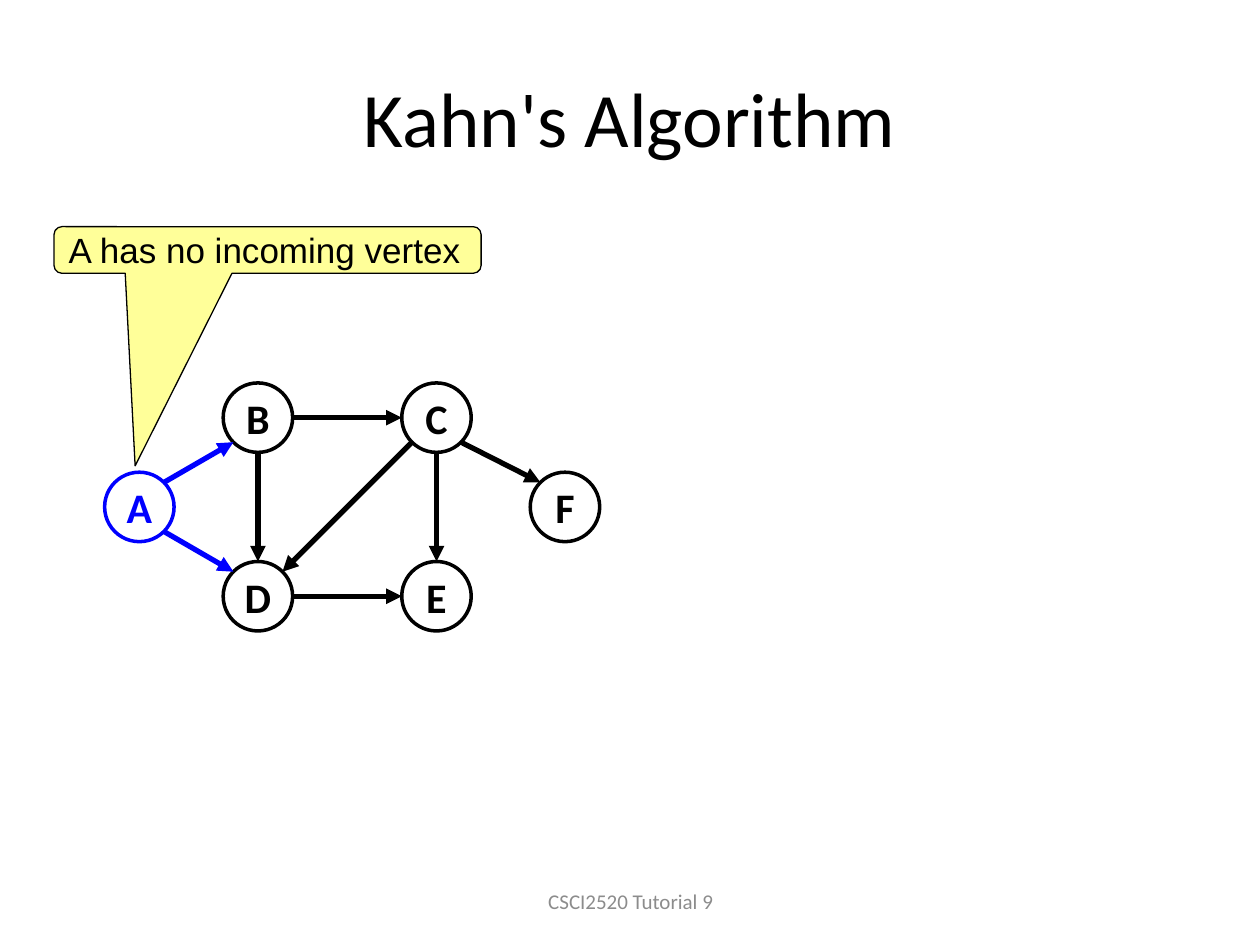
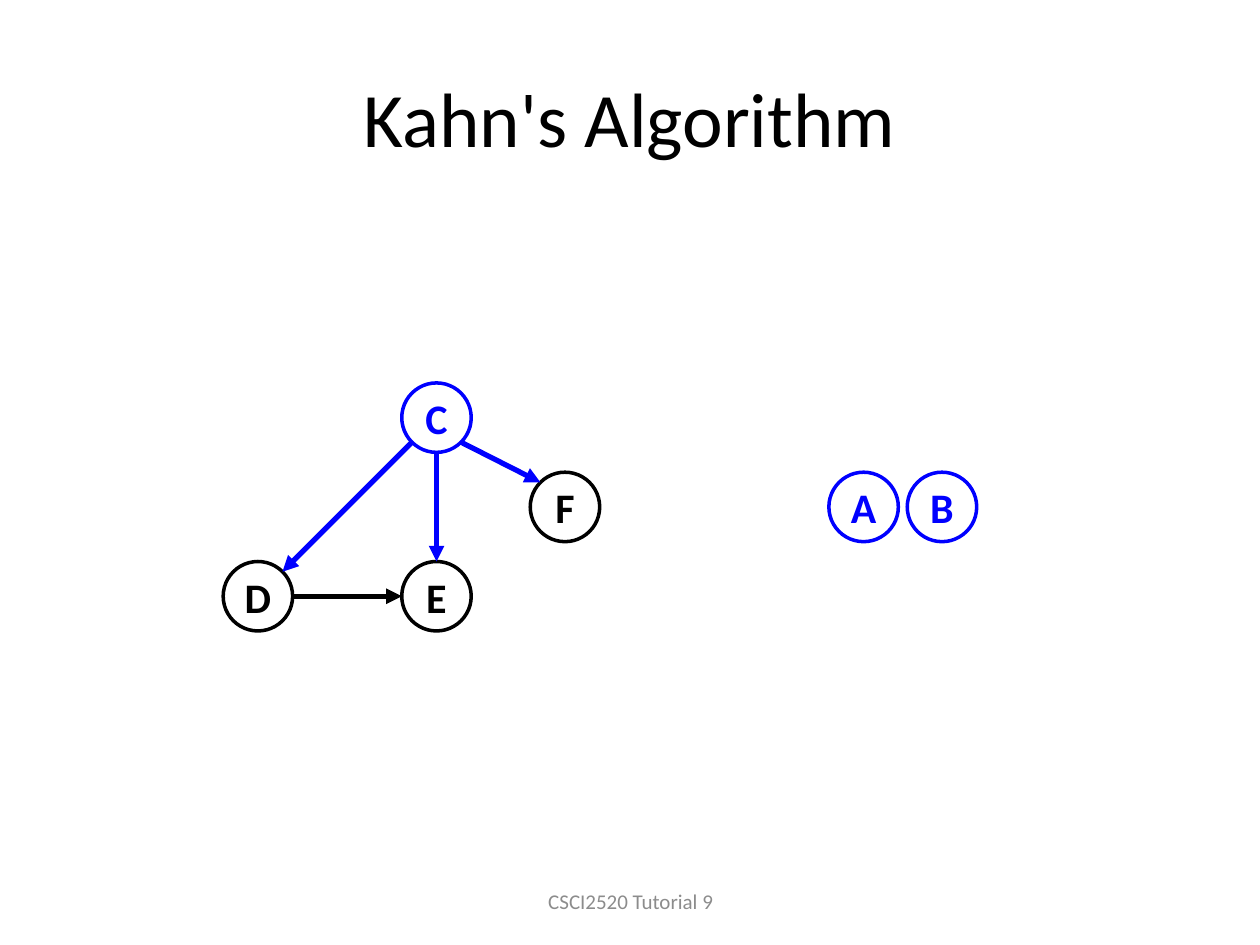
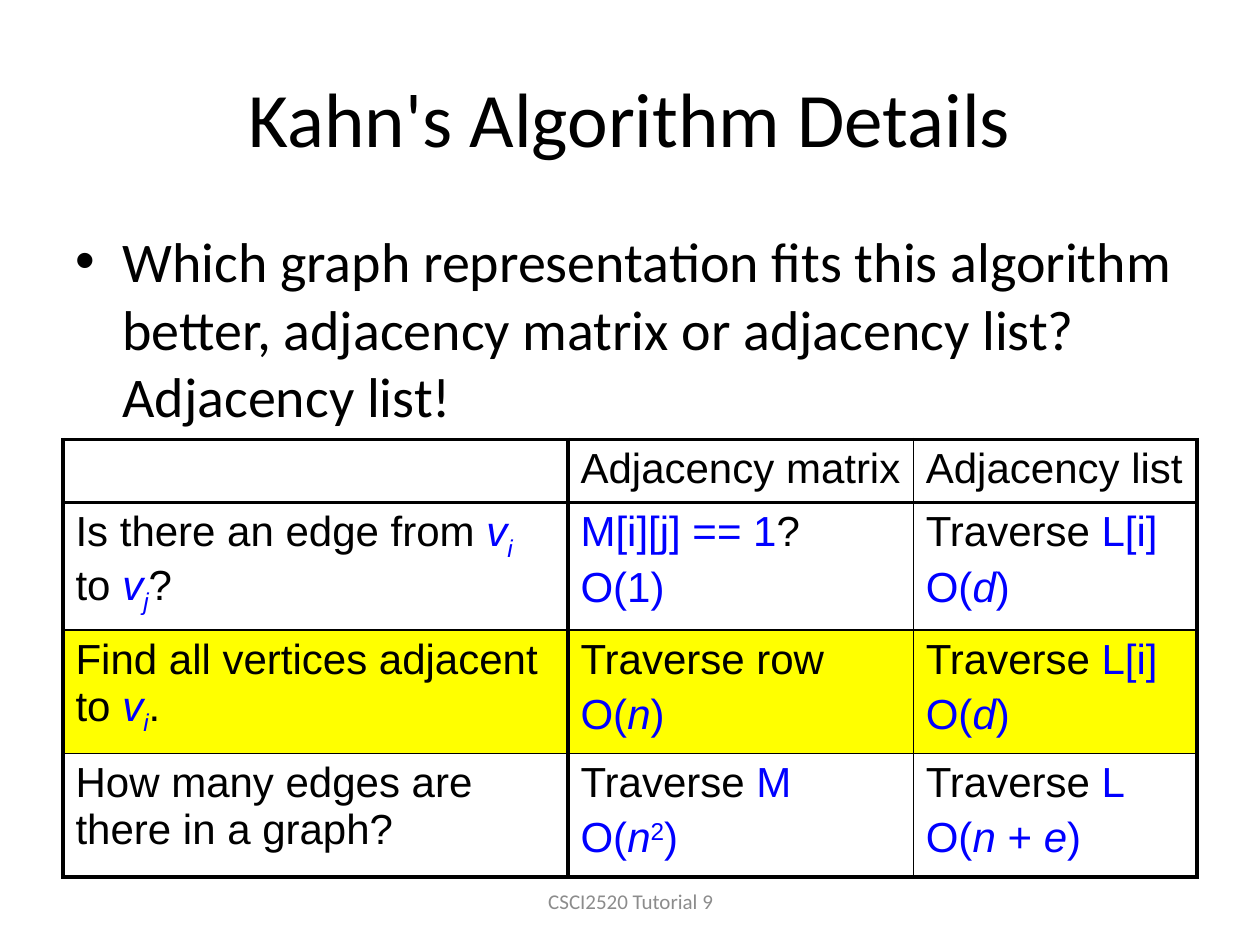
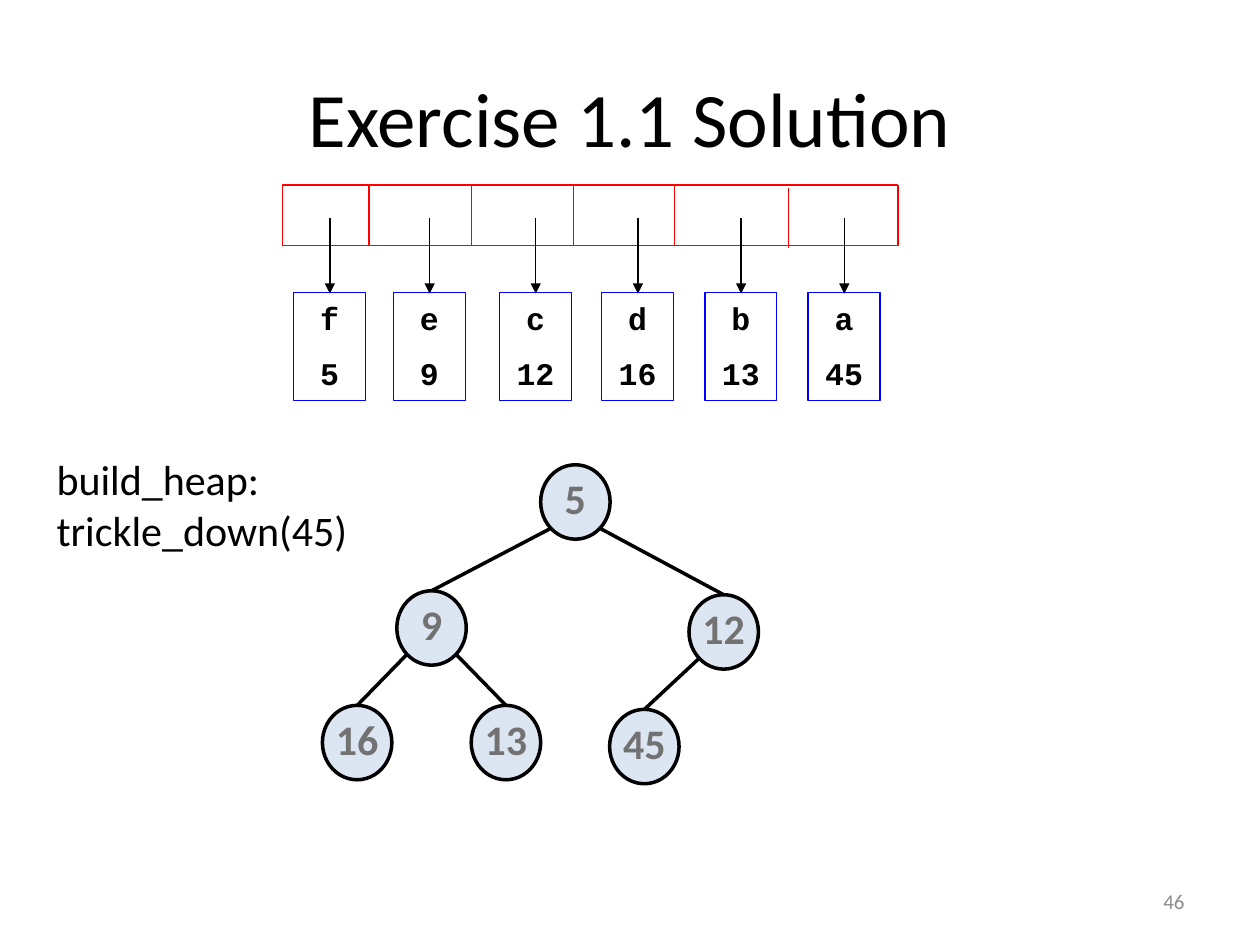
import math

import lxml.etree
import pptx
import pptx.dml.color
import pptx.enum.shapes
import pptx.enum.text
import pptx.oxml.ns
import pptx.util

Cm, Pt = pptx.util.Cm, pptx.util.Pt
RGB = pptx.dml.color.RGBColor.from_string
SHAPE = pptx.enum.shapes.MSO_SHAPE
ALIGN = pptx.enum.text.PP_ALIGN
ANCHOR = pptx.enum.text.MSO_ANCHOR
qn = pptx.oxml.ns.qn


class Theme:
    black, white, blue, red = RGB("000000"), RGB("FFFFFF"), RGB("0000FF"), RGB("FF0000")
    note, highlight = RGB("FFFF99"), RGB("FFFF00")
    tree_fill, tree_text, footer = RGB("DCE6F2"), RGB("727272"), RGB("8C8C8C")
    body_font, plain_font, code_font = "Calibri", "Arial", "Courier New"
    title_size, body_size, label_size = 44, 32, 24
    note_size, code_size, footer_size = 20, 18, 12
    thin, rule, node_line, thick, edge_line = 0.75, 1, 2, 2.25, 3


def draw_box(s, kind, box, text="", size=Theme.label_size, color=Theme.black,
             font=Theme.body_font, bold=False, align=ALIGN.CENTER,
             anchor=ANCHOR.MIDDLE, fill=None, line=None, width=Theme.thin):
    """Add a preset shape, or a text box when kind is None, with uniform text."""
    box = [Cm(v) for v in box]
    if kind is None:
        sp = s.shapes.add_textbox(*box)
    else:
        sp = s.shapes.add_shape(kind, *box)
        sp.shadow.inherit = False
        sp.line.color.rgb = line
        sp.line.width = Pt(width)
        if fill is None:
            sp.fill.background()
        else:
            sp.fill.solid()
            sp.fill.fore_color.rgb = fill
    tf = sp.text_frame
    tf.word_wrap = True
    tf.vertical_anchor = anchor
    tf.text = text
    for p in tf.paragraphs:
        p.alignment = align
        for r in p.runs:
            r.font.name, r.font.size, r.font.bold = font, Pt(size), bold
            r.font.color.rgb = color
    return sp


def draw_line(s, x1, y1, x2, y2, color, width, arrow=False):
    c = s.shapes.add_connector(pptx.enum.shapes.MSO_CONNECTOR.STRAIGHT,
                               Cm(x1), Cm(y1), Cm(x2), Cm(y2))
    c.line.color.rgb = color
    c.line.width = Pt(width)
    if arrow:
        lxml.etree.SubElement(c.line._get_or_add_ln(), qn("a:tailEnd"), type="triangle")
    lxml.etree.SubElement(c._element.spPr, qn("a:effectLst"))


prs = pptx.Presentation()
prs.slide_width, prs.slide_height = Cm(25.4), Cm(19.05)

# Titles and footers
COURSE = "CSCI2520 Tutorial 9"
slides = []
for title, footer in [("Kahn's Algorithm", COURSE), ("Kahn's Algorithm", COURSE),
                      ("Kahn's Algorithm Details", COURSE),
                      ("Exercise 1.1 Solution", "46")]:
    s = prs.slides.add_slide(prs.slide_layouts[5])
    slides.append(s)
    sp = s.shapes.title
    sp.left, sp.top, sp.width, sp.height = Cm(1.27), Cm(0.76), Cm(22.86), Cm(3.18)
    tf = sp.text_frame
    tf.text = title
    tf.vertical_anchor = ANCHOR.MIDDLE
    p = tf.paragraphs[0]
    p.alignment = ALIGN.CENTER
    font = p.runs[0].font
    font.name, font.size = Theme.body_font, Pt(Theme.title_size)
    font.color.rgb = Theme.black
    if footer == COURSE:
        box, align = (8.69, 17.65, 8.05, 1.02), ALIGN.CENTER
    else:
        box, align = (18.21, 17.65, 5.92, 1.02), ALIGN.RIGHT
    draw_box(s, None, box, footer, Theme.footer_size, Theme.footer, align=align)

# Slides 1 and 2: the graph at two steps
vertices = {"A": (2.81, 10.22), "B": (5.2, 8.42), "D": (5.2, 12.02),
            "C": (8.8, 8.42), "E": (8.8, 12.02), "F": (11.39, 10.22)}
edges = ["AB", "BC", "DE", "AD", "CD", "CE", "BD", "CF"]
radius = 0.7
for s, current, output in [(slides[0], "A", ""), (slides[1], "C", "AB")]:
    for name, (x, y) in vertices.items():
        if name in output:
            x, y = 17.41 + 1.58 * output.index(name), 10.22
        color = Theme.blue if name in output + current else Theme.black
        sp = draw_box(s, SHAPE.OVAL, (x - radius, y - radius, 2 * radius, 2 * radius),
                      name, color=color, bold=True, fill=Theme.white,
                      line=color, width=Theme.node_line)
        sp.text_frame.margin_left = sp.text_frame.margin_right = 0
    for start, end in edges:
        if start in output:
            continue
        (x1, y1), (x2, y2) = vertices[start], vertices[end]
        # Edges meet the circles at the nearest eighth of a turn
        angle = round(math.atan2(y2 - y1, x2 - x1) / (math.pi / 4)) * math.pi / 4
        dx, dy = radius * math.cos(angle), radius * math.sin(angle)
        draw_line(s, x1 + dx, y1 + dy, x2 - dx, y2 - dy,
                  Theme.blue if start == current else Theme.black,
                  Theme.edge_line, arrow=True)

sp = draw_box(slides[0], SHAPE.ROUNDED_RECTANGULAR_CALLOUT, (1.09, 4.57, 8.61, 0.94),
              "A has no incoming vertex", Theme.note_size, font=Theme.plain_font,
              align=ALIGN.LEFT, fill=Theme.note, line=Theme.black)
sp.text_frame.margin_top = sp.text_frame.margin_bottom = 0
for i, value in enumerate((-0.31, 4.63, 0.17)):
    sp.adjustments[i] = value

# Slide 3: question and comparison table
s = slides[2]
sp = draw_box(s, None, (1.27, 4.45, 22.86, 12.57),
              "Which graph representation fits this algorithm better, "
              "adjacency matrix or adjacency list? Adjacency list!",
              Theme.body_size, align=ALIGN.LEFT, anchor=ANCHOR.TOP)
pPr = sp.text_frame.paragraphs[0]._p.get_or_add_pPr()
pPr.set("marL", str(Cm(0.95)))
pPr.set("indent", str(-Cm(0.95)))
lxml.etree.SubElement(pPr, qn("a:buFont"), typeface="Arial")
lxml.etree.SubElement(pPr, qn("a:buChar"), char="•")

# Run styles: colour, italic, baseline shift
styles = {"text": (Theme.black, False, 0), "code": (Theme.blue, False, 0),
          "var": (Theme.blue, True, 0), "sub": (Theme.blue, True, -25000),
          "sup": (Theme.blue, False, 30000)}
traverse = ("Traverse ", "text")
order_open, order_close = ("O(", "code"), (")", "code")
order_d = [order_open, ("d", "var"), order_close]
# Each cell is a list of paragraphs, each paragraph a list of runs
rows = [
    [[], [[("Adjacency matrix", "text")]], [[("Adjacency list", "text")]]],
    [[[("Is there an edge from ", "text"), ("v", "var"), ("i", "sub"),
       (" to ", "text"), ("v", "var"), ("j", "sub"), ("?", "text")]],
     [[("M[i][j] == 1", "code"), ("?", "text")], [("O(1)", "code")]],
     [[traverse, ("L[i]", "code")], order_d]],
    [[[("Find all vertices adjacent to ", "text"), ("v", "var"), ("i", "sub"),
       (".", "text")]],
     [[("Traverse row", "text")], [order_open, ("n", "var"), order_close]],
     [[traverse, ("L[i]", "code")], order_d]],
    [[[("How many edges are there in a graph?", "text")]],
     [[traverse, ("M", "code")],
      [order_open, ("n", "var"), ("2", "sup"), order_close]],
     [[traverse, ("L", "code")],
      [order_open, ("n", "var"), (" + ", "code"), ("e", "var"), order_close]]],
]
table = s.shapes.add_table(4, 3, Cm(1.27), Cm(8.86), Cm(22.86), Cm(8.74)).table
table.first_row = table.horz_banding = False
for column, width in zip(table.columns, (10.18, 6.96, 5.72)):
    column.width = Cm(width)
for row, height in zip(table.rows, (1.27, 2.49, 2.49, 2.49)):
    row.height = Cm(height)
for i, row in enumerate(rows):
    for j, paragraphs in enumerate(row):
        cell = table.cell(i, j)
        tcPr = cell._tc.get_or_add_tcPr()
        # Heavy lines frame the table, its header row and its first column
        for side, heavy in (("L", j < 2), ("R", j != 1), ("T", i < 2), ("B", i in (0, 3))):
            ln = lxml.etree.SubElement(tcPr, qn("a:ln" + side),
                                       w=str(Pt(Theme.thick if heavy else Theme.rule)))
            fill = lxml.etree.SubElement(ln, qn("a:solidFill"))
            lxml.etree.SubElement(fill, qn("a:srgbClr"), val=str(Theme.black))
        if i == 2:
            cell.fill.solid()
            cell.fill.fore_color.rgb = Theme.highlight
        else:
            cell.fill.background()
        tf = cell.text_frame
        for k, runs in enumerate(paragraphs):
            p = tf.add_paragraph() if k else tf.paragraphs[0]
            if k:
                p.space_before = Pt(4.8)
            for text, style in runs:
                color, italic, baseline = styles[style]
                r = p.add_run()
                r.text = text
                r.font.name, r.font.size = Theme.plain_font, Pt(Theme.label_size)
                r.font.color.rgb, r.font.italic = color, italic
                if baseline:
                    r.font._element.set("baseline", str(baseline))

# Slide 4: array of pointers
s = slides[3]
draw_box(s, SHAPE.RECTANGLE, (5.69, 3.73, 12.4, 1.22), fill=Theme.white, line=Theme.red)
for x, y in [(7.44, 3.73), (9.5, 3.73), (11.56, 3.73), (13.59, 3.73),
             (15.9, 3.78), (18.11, 3.73)]:
    draw_line(s, x, y, x, y + 1.22, Theme.red, Theme.thin)
for x, name, key in [(6.65, "f", 5), (8.66, "e", 9), (10.8, "c", 12),
                     (12.86, "d", 16), (14.94, "b", 13), (17.02, "a", 45)]:
    draw_line(s, x, 4.39, x, 5.92, Theme.black, Theme.thin, arrow=True)
    sp = draw_box(s, SHAPE.RECTANGLE, (x - 0.73, 5.9, 1.45, 2.18), f"{name}\n{key}",
                  Theme.code_size, font=Theme.code_font, bold=True,
                  anchor=ANCHOR.TOP, line=Theme.blue)
    sp.text_frame.paragraphs[1].space_before = Pt(10)

# Slide 4: heap tree
tree = {5: (11.6, 10.12), 9: (8.7, 12.66), 12: (14.59, 12.74),
        16: (7.2, 14.97), 13: (10.2, 14.97), 45: (12.99, 15.05)}
node_w, node_h = 1.4, 1.5
for parent, child in [(5, 9), (5, 12), (9, 16), (9, 13), (12, 45)]:
    (x1, y1), (x2, y2) = tree[parent], tree[child]
    dx = math.copysign(node_w / 2 * math.sqrt(0.5), x2 - x1)
    draw_line(s, x1 + dx, y1 + node_h / 2 * math.sqrt(0.5), x2, y2 - node_h / 2,
              Theme.black, Theme.node_line)
for key, (x, y) in tree.items():
    sp = draw_box(s, SHAPE.OVAL, (x - node_w / 2, y - node_h / 2, node_w, node_h),
                  str(key), color=Theme.tree_text, bold=True, fill=Theme.tree_fill,
                  line=Theme.black, width=Theme.node_line)
    sp.text_frame.word_wrap = False
    sp.text_frame.paragraphs[0].line_spacing = 0.85

sp = draw_box(s, None, (0.89, 9.02, 6.43, 2.31), "build_heap:\ntrickle_down(45)",
              align=ALIGN.LEFT, anchor=ANCHOR.TOP)
sp.text_frame.word_wrap = False

prs.save("out.pptx")
